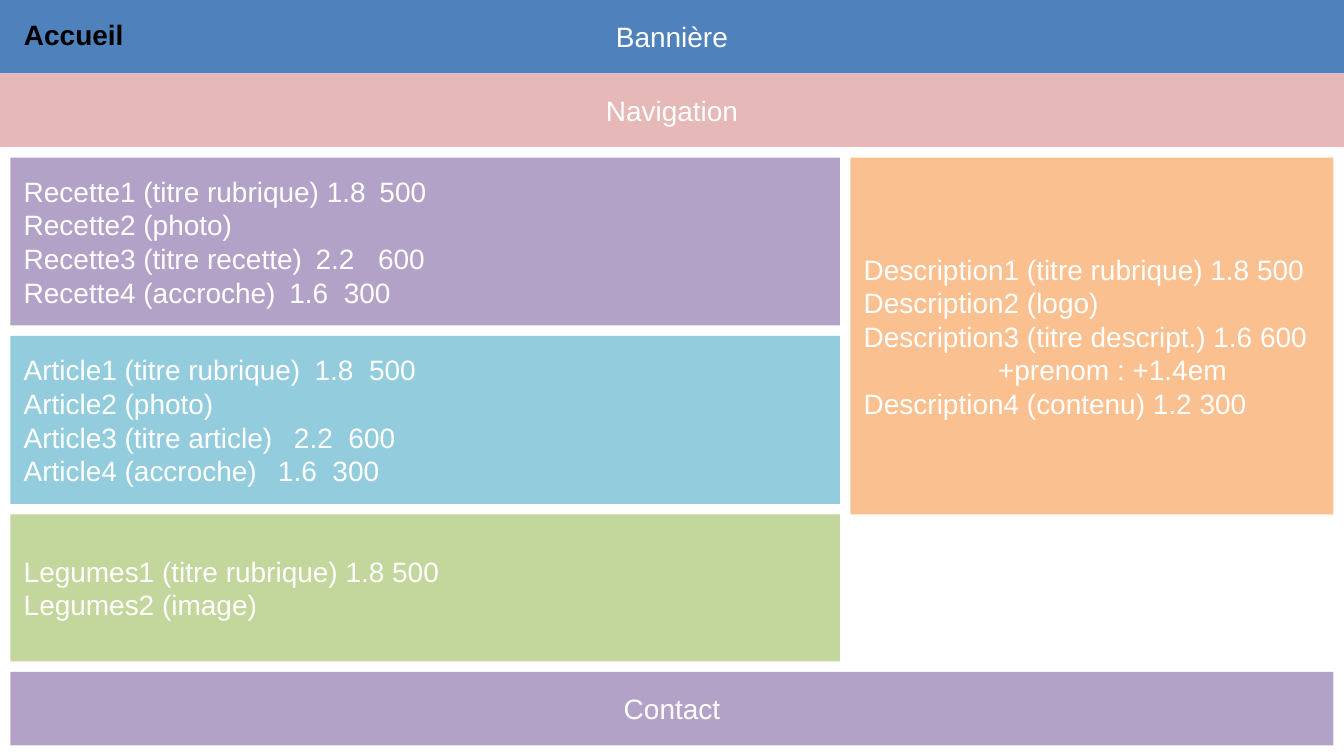
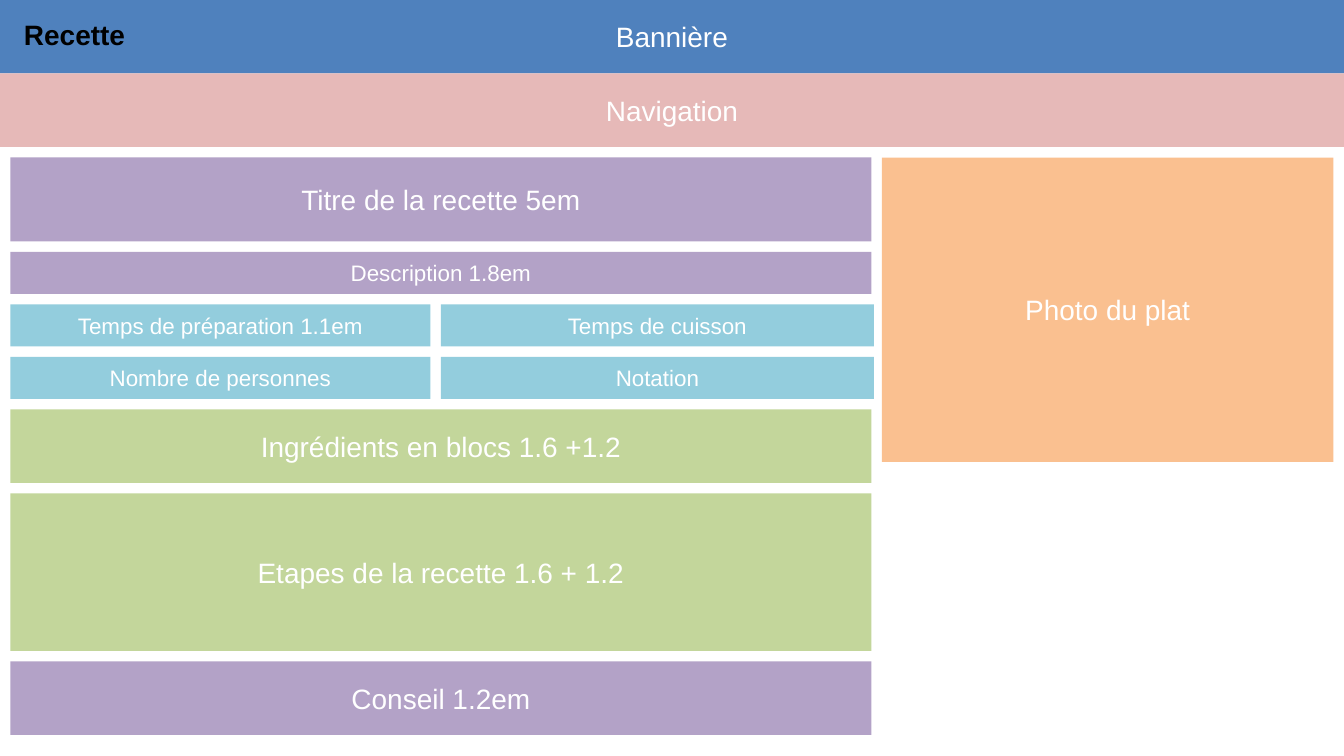
import pptx
import pptx.dml.color
import pptx.enum.shapes
import pptx.enum.text
import pptx.oxml.ns
import pptx.util
from lxml import etree

Pt = pptx.util.Pt
ALIGN = pptx.enum.text.PP_ALIGN
ANCHOR = pptx.enum.text.MSO_ANCHOR
W, H = 720, 405
GAP = 5.62
BAR = 39.38
TOP = 2 * BAR + GAP
BLUE, PINK, PURPLE = "4F81BD", "E6B9B8", "B3A2C7"
CYAN, GREEN, ORANGE = "93CDDD", "C3D69B", "FAC090"
WHITE, BLACK = "FFFFFF", "000000"


def rgb(value):
    return pptx.dml.color.RGBColor.from_string(value)


def add_tabs(p, stops):
    """Set left tab stops, in points from the text edge."""
    tabs = etree.SubElement(p._p.get_or_add_pPr(), pptx.oxml.ns.qn("a:tabLst"))
    for stop in stops:
        etree.SubElement(tabs, pptx.oxml.ns.qn("a:tab"), pos=str(Pt(stop)), algn="l")


def write(tf, lines, size=15, color=WHITE, bold=False, align=ALIGN.CENTER,
          anchor=ANCHOR.MIDDLE, wrap=True):
    """Fill a frame; each line is a text followed by its tab stops."""
    tf.word_wrap = wrap
    tf.vertical_anchor = anchor
    for i, (text, *stops) in enumerate(lines):
        p = tf.add_paragraph() if i else tf.paragraphs[0]
        p.alignment = align
        if stops:
            add_tabs(p, stops)
        r = p.add_run()
        r.text = text
        r.font.name, r.font.size, r.font.bold = "Arial", Pt(size), bold
        r.font.color.rgb = rgb(color)


def block(s, box, fill, lines, **fmt):
    sp = s.shapes.add_shape(pptx.enum.shapes.MSO_SHAPE.RECTANGLE, *map(Pt, box))
    sp.shadow.inherit = False
    sp.fill.solid()
    sp.fill.fore_color.rgb = rgb(fill)
    sp.line.fill.background()
    write(sp.text_frame, lines, **fmt)


def stack(s, x, y, w, rows, **fmt):
    """Place (height, fill, lines) blocks downwards, one gap apart; return the next top."""
    for h, fill, lines in rows:
        block(s, (x, y, w, h), fill, lines, **fmt)
        y += h + GAP
    return y


def page(prs, name, width):
    """Add a slide with banner, navigation and page name."""
    s = prs.slides.add_slide(prs.slide_layouts[5])
    block(s, (0, 0, W, BAR), BLUE, [("Bannière",)])
    block(s, (0, BAR, W, BAR), PINK, [("Navigation",)])
    title = s.shapes.title
    title.left, title.top, title.width, title.height = map(Pt, (GAP, GAP, width, 25.2))
    write(title.text_frame, [(name,)], color=BLACK, bold=True, align=ALIGN.LEFT,
          anchor=ANCHOR.TOP, wrap=False)
    title.text_frame.auto_size = pptx.enum.text.MSO_AUTO_SIZE.SHAPE_TO_FIT_TEXT
    s.shapes.element.append(title.element)  # in front of the banner
    return s


def side_block(s, column, height, lines, **fmt):
    """Fill the width to the right of the main column."""
    x = column + 2 * GAP
    block(s, (x, TOP, W - GAP - x, height), ORANGE, lines, **fmt)


def home_page(prs):
    s = page(prs, "Accueil", 68.4)
    column = 444.4
    y = stack(s, GAP, TOP, column, [
        (90, PURPLE, [("Recette1 (titre rubrique) 1.8\t500", 190.6),
                      ("Recette2 (photo)",),
                      ("Recette3 (titre recette)\t2.2\t600", 156.4, 189.8),
                      ("Recette4 (accroche)\t1.6\t300", 142.3, 171.5)]),
        (90, CYAN, [("Article1 (titre rubrique)\t1.8\t500", 155.8, 185),
                    ("Article2 (photo)",),
                    ("Article3 (titre article)\t2.2\t600", 144.8, 174),
                    ("Article4 (accroche)\t1.6\t300", 136.2, 165.4)]),
        (78.75, GREEN, [("Legumes1 (titre rubrique) 1.8 500",),
                        ("Legumes2 (image)",)]),
    ], align=ALIGN.LEFT)
    side_block(s, column, 191.25, [
        ("Description1 (titre rubrique) 1.8 500",),
        ("Description2 (logo)",),
        ("Description3 (titre descript.) 1.6 600",),
        ("\t+prenom : +1.4em", 72),
        ("Description4 (contenu) 1.2 300",),
    ], align=ALIGN.LEFT)
    block(s, (GAP, y, W - 2 * GAP, BAR), PURPLE, [("Contact",)])


def recipe_page(prs):
    s = page(prs, "Recette", 69.1)
    column, fact_w, fact_h = 461.25, 225, 22.5
    y = stack(s, GAP, TOP, column, [(45, PURPLE, [("Titre de la recette 5em",)])])
    y = stack(s, GAP, y, column, [(fact_h, PURPLE, [("Description 1.8em",)])], size=12)
    facts = [(GAP, fact_w, ("Temps de préparation 1.1em", "Nombre de personnes")),
             (2 * GAP + fact_w, 232, ("Temps de cuisson", "Notation"))]
    for x, w, names in facts:
        below = stack(s, x, y, w, [(fact_h, CYAN, [(name,)]) for name in names], size=12)
    stack(s, GAP, below, column, [
        (BAR, GREEN, [("Ingrédients en blocs 1.6 +1.2",)]),
        (84.38, GREEN, [("Etapes de la recette 1.6 + 1.2",)]),
        (BAR, PURPLE, [("Conseil 1.2em",)]),
    ])
    side_block(s, column, 163.13, [("Photo du plat",)])


def main():
    prs = pptx.Presentation()
    prs.slide_width, prs.slide_height = Pt(W), Pt(H)
    home_page(prs)
    recipe_page(prs)
    prs.save("out.pptx")


if __name__ == "__main__":
    main()
